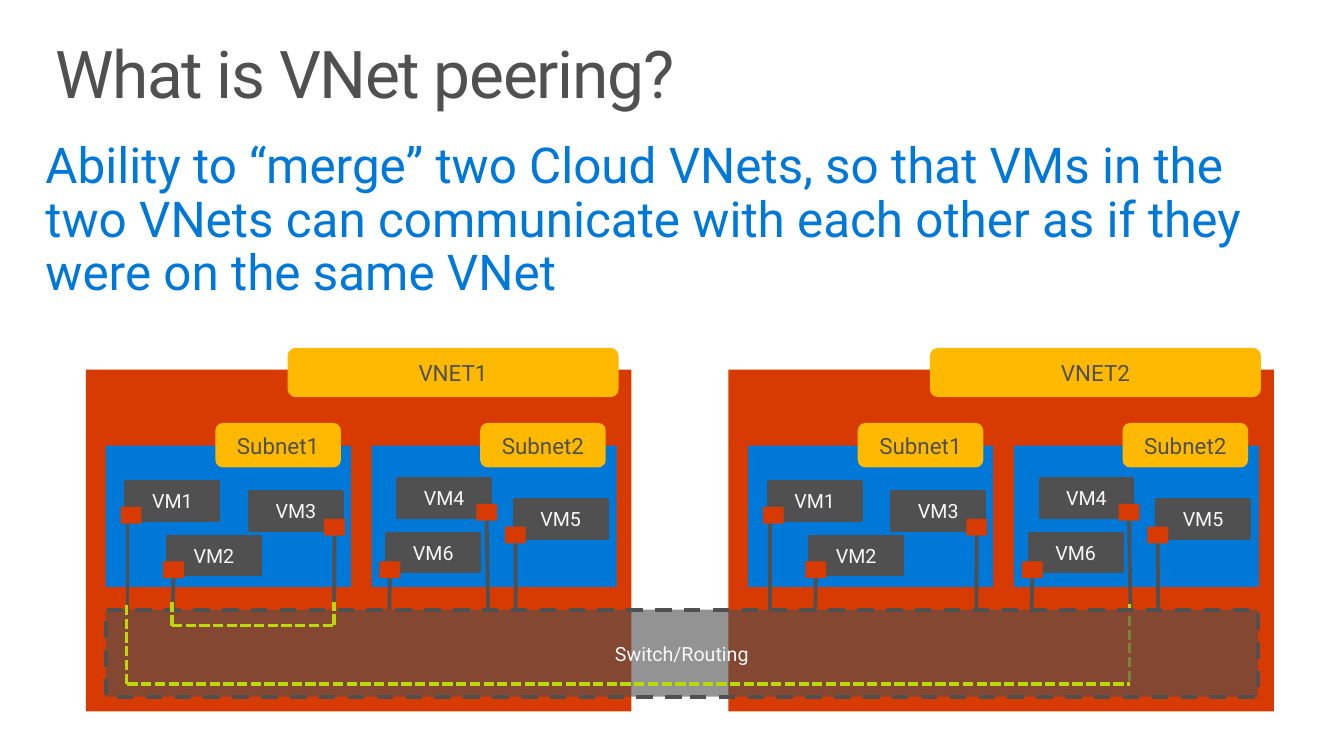
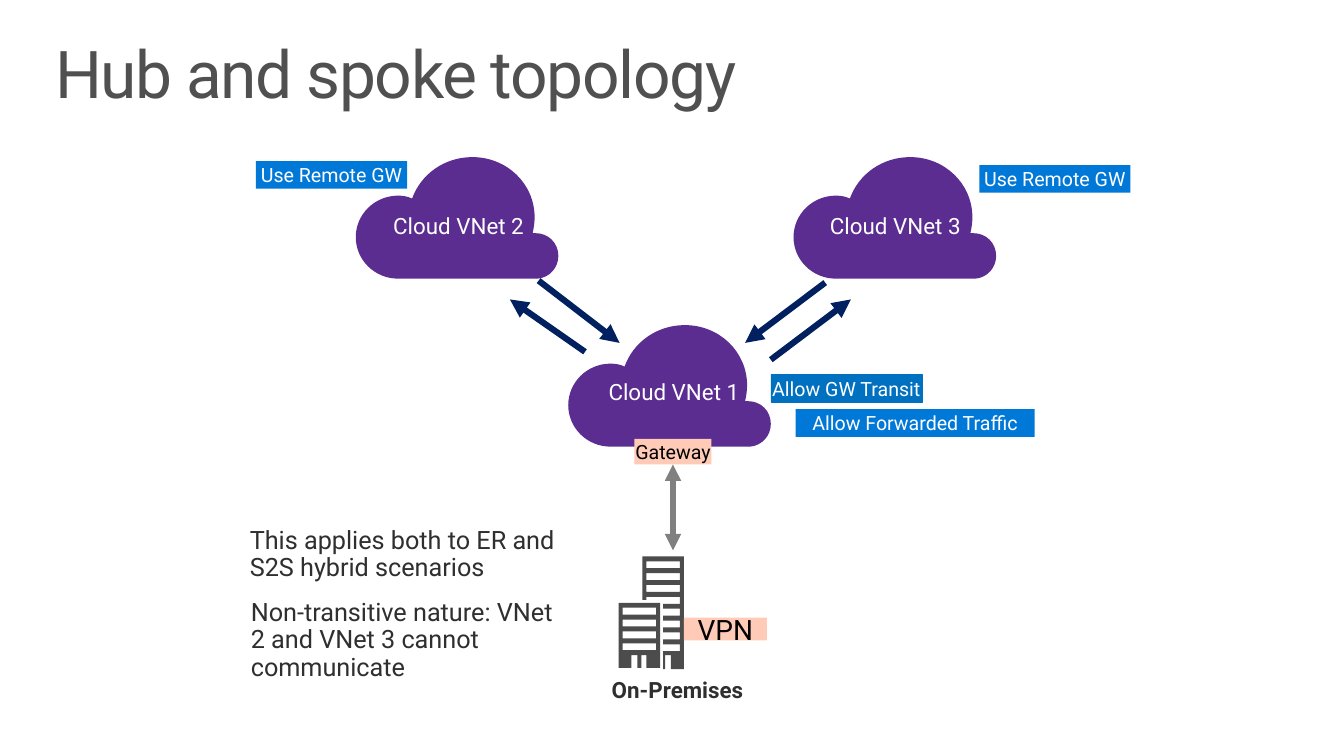
from lxml import etree
from pptx import Presentation
from pptx.dml.color import RGBColor
from pptx.enum.dml import MSO_LINE
from pptx.enum.shapes import MSO_CONNECTOR, MSO_SHAPE
from pptx.enum.text import MSO_ANCHOR, PP_ALIGN
from pptx.oxml.ns import qn
from pptx.util import Pt

PX = 9144  # 100 px to the inch
FONT = "Roboto"
RECT, ROUNDED = MSO_SHAPE.RECTANGLE, MSO_SHAPE.ROUNDED_RECTANGLE
STRAIGHT = MSO_CONNECTOR.STRAIGHT
DASH, SHORT_DASH = MSO_LINE.DASH, MSO_LINE.SQUARE_DOT
TOP, MIDDLE = MSO_ANCHOR.TOP, MSO_ANCHOR.MIDDLE
LEFT, CENTER = PP_ALIGN.LEFT, PP_ALIGN.CENTER
BOTTOM_SIDE = 2

COLORS = {
    "gray": "505050", "dark": "2F2F2F", "building": "4C4C4C", "arrow_gray": "808080",
    "blue": "0078D7", "transit_blue": "0070C0", "navy": "002060", "red": "D83B01",
    "yellow": "FFB900", "green": "BAD80A", "purple": "5C2D91", "peach": "FFCAB6",
    "white": "FFFFFF", "off_white": "F8F8F8", "black": "000000",
}

# Text styles: font size, colour, insets (x, y), and whether it is a centred label
STYLES = {
    "title": {"size": 48, "color": "gray", "inset": (16, 10)},
    "body": {"size": 36, "color": "blue", "inset": (16, 10)},
    "note": {"size": 18.4, "color": "dark", "inset": (10, 5)},
    "site": {"size": 16.3, "color": "dark", "inset": (20, 16), "bold": True},
    "cloud": {"size": 16.3, "color": "white", "inset": (20, 16), "align": CENTER},
    "net": {"size": 16.3, "color": "gray", "label": True},
    "machine": {"size": 14.3, "color": "off_white", "label": True},
    "tag": {"size": 14.3, "color": "white", "label": True},
    "gateway": {"size": 14.3, "color": "black", "label": True},
    "vpn": {"size": 20.4, "color": "black", "label": True},
}


def add_box(page, frame, text="", style="tag", fill=None, kind=RECT, outline=None):
    """Add a filled shape, or a plain text box when there is no fill."""
    frame = [value * PX for value in frame]
    if fill:
        box = page.shapes.add_shape(kind, *frame)
        box.shadow.inherit = False
        box.fill.solid()
        box.fill.fore_color.rgb = RGBColor.from_string(COLORS[fill])
        if outline:
            box.line.color.rgb = RGBColor.from_string(COLORS[fill])
            box.line.width = Pt(outline)
        else:
            box.line.fill.background()
    else:
        box = page.shapes.add_textbox(*frame)
    if not text:
        return box

    look = STYLES[style]
    label = look.get("label", False)
    inset_x, inset_y = look.get("inset", (0, 5))
    frame_format = {
        "word_wrap": not label, "vertical_anchor": MIDDLE if label else TOP,
        "margin_left": inset_x * PX, "margin_right": inset_x * PX,
        "margin_top": inset_y * PX, "margin_bottom": inset_y * PX,
    }
    for name, value in frame_format.items():
        setattr(box.text_frame, name, value)
    para = box.text_frame.paragraphs[0]
    para.alignment = CENTER if label else look.get("align", LEFT)
    para.line_spacing = 1.0 if label else 0.9
    span = para.add_run()
    span.text = text
    font_format = {"name": FONT, "size": Pt(look["size"]), "bold": look.get("bold", False)}
    for name, value in font_format.items():
        setattr(span.font, name, value)
    span.font.color.rgb = RGBColor.from_string(COLORS[look["color"]])
    if style == "title":
        span.font._element.set("spc", "-100")
    return box


def add_line(page, points, color, width, dash=None, arrows=(), start=None):
    """Add a straight line; start is a box whose bottom middle it leaves from."""
    line = page.shapes.add_connector(STRAIGHT, *[value * PX for value in points])
    if start is not None:
        line.begin_connect(start, BOTTOM_SIDE)
    line.line.color.rgb = RGBColor.from_string(COLORS[color])
    line.line.width = Pt(width)
    if dash:
        line.line.dash_style = dash
    for end in arrows:
        etree.SubElement(line.line._get_or_add_ln(), qn(f"a:{end}"), type="triangle")
    etree.SubElement(line._element.spPr, qn("a:effectLst"))
    return line


deck = Presentation()
deck.slide_width, deck.slide_height = 1360 * PX, 765 * PX
pages = []
for title in ("What is VNet peering?", "Hub and spoke topology"):
    page = deck.slides.add_slide(deck.slide_layouts[6])
    add_box(page, (40, 32, 1280, 100), title, "title")
    pages.append(page)
peering_page, hub_page = pages

# ---- Slide 1: VNet peering ----
add_box(peering_page, (30, 133, 1300, 187),
        "Ability to “merge” two Cloud VNets, so that VMs in the two VNets can "
        "communicate with each other as if they were on the same VNet", "body")

# Each subnet: name, left, then label left
SUBNETS = [("Subnet1", 107, 218), ("Subnet2", 376, 486)]
# Each machine: name, box corner, network card corner, foot of its wire
MACHINES = [
    ("VM1", (128, 488), (122, 513), 129), ("VM2", (170, 543), (165, 568), 175),
    ("VM3", (253, 498), (328, 525), 338), ("VM4", (403, 485), (482, 510), 494),
    ("VM6", (392, 540), (384, 568), 394), ("VM5", (521, 506), (511, 533), 522),
]
CARD_WIDTH, CARD_HEIGHT = 21, 17
SWITCH_TOP = 617
VNET_STEP = 650

for number in range(2):
    shift = number * VNET_STEP
    add_box(peering_page, (87 + shift, 374, 552, 346), fill="red")
    add_box(peering_page, (291 + shift, 352, 335, 50), f"VNET{number + 1}", "net",
            "yellow", ROUNDED)
    for name, left, label_left in SUBNETS:
        add_box(peering_page, (left + shift, 451, 248, 143), fill="blue")
        add_box(peering_page, (label_left + shift, 428, 127, 45), name, "net",
                "yellow", ROUNDED)
    for name, (left, top), (card_left, card_top), foot in MACHINES:
        add_box(peering_page, (left + shift, top, 93, 38), name, "machine", "gray", outline=3)
        card = add_box(peering_page, (card_left + shift, card_top, CARD_WIDTH, CARD_HEIGHT),
                       fill="red")
        # Wires under the middle of a card are joined to it
        centered = abs(card_left + CARD_WIDTH / 2 - foot) < 2
        add_line(peering_page, (foot + shift, card_top + CARD_HEIGHT, foot + shift, SWITCH_TOP),
                 "gray", 2.75, start=card if centered else None)

# The far end of the path between VNets runs behind the switch
add_line(peering_page, (1143, 689, 1143, 611), "green", 2.5, SHORT_DASH)
switch = add_box(peering_page, (107, SWITCH_TOP, 1166, 88), "Switch/Routing", "machine",
                 "gray", outline=3)
switch.line.dash_style = DASH
switch_color = switch._element.spPr.find(qn("a:solidFill")).find(qn("a:srgbClr"))
etree.SubElement(switch_color, qn("a:alpha"), val="61000")

# Traffic paths on top of the switch
for points in [(174, 633, 338, 633), (174, 633, 174, 609), (338, 632, 338, 609),
               (129, 692, 1143, 692), (128, 692, 128, 609)]:
    add_line(peering_page, points, "green", 2.5, SHORT_DASH)

# ---- Slide 2: hub and spoke ----
# Cloud outline from its right edge: a start, then two controls and an end per curve
CLOUD_POINTS = [
    (205, 100),
    (205, 87), (195, 77), (182, 77), (181, 77), (180, 77), (179, 77),
    (180, 72), (181, 67), (181, 61), (181, 27), (153, 0), (118, 0),
    (90, 0), (66, 17), (57, 42), (53, 40), (48, 39), (43, 39),
    (19, 39), (0, 58), (0, 81), (0, 104), (19, 123), (43, 123),
    (90, 123), (137, 123), (184, 123), (196, 122), (205, 112), (205, 100),
]
# Each cloud: name, corner, then label corner
CLOUDS = [("Cloud VNet 3", (803, 159), (785, 205)), ("Cloud VNet 2", (360, 159), (343, 205)),
          ("Cloud VNet 1", (575, 329), (561, 373))]
outlines = [("purple", [[(x + left, y + top) for x, y in CLOUD_POINTS]])
            for name, (left, top), label in CLOUDS]

# Buildings: outer walls, then rows of windows
front = [(626, 610), (626, 676), (639, 676), (639, 663), (645, 663), (645, 676),
         (649, 676), (649, 663), (654, 663), (654, 676), (668, 676), (668, 610)]
back = [(650, 563), (650, 607), (654, 607), (654, 604), (688, 604)]
for y in range(611, 648, 12):
    back += [(688, y), (671, y), (671, y + 5), (688, y + 5)]
back += [(688, 659), (671, 659), (671, 677), (673, 677), (673, 663), (679, 663),
         (679, 677), (692, 677), (692, 563)]
for walls, left, top, rows in [(front, 630, 615, 4), (back, 654, 568, 3)]:
    windows = [[(left, y), (left + 34, y), (left + 34, y + 7), (left, y + 7)]
               for y in range(top, top + 12 * rows, 12)]
    outlines.append(("building", [walls] + windows))

for color, contours in outlines:
    builder = None
    for contour in contours:
        if builder is None:
            builder = hub_page.shapes.build_freeform(*contour[0], scale=PX)
        else:
            builder.move_to(*contour[0])
        builder.add_line_segments(contour[1:], close=color == "building")
    drawing = builder.convert_to_shape()
    drawing.shadow.inherit = False
    drawing.fill.solid()
    drawing.fill.fore_color.rgb = RGBColor.from_string(COLORS[color])
    drawing.line.fill.background()
    if color == "purple":
        # Every three points of a cloud become one cubic curve
        segments = list(drawing._element.iter(qn("a:lnTo")))
        outline = segments[0].getparent()
        for index in range(0, len(segments), 3):
            curve = etree.SubElement(outline, qn("a:cubicBezTo"))
            for segment in segments[index:index + 3]:
                curve.append(segment[0])
                outline.remove(segment)
        etree.SubElement(outline, qn("a:close"))

for name, corner, (left, top) in CLOUDS:
    add_box(hub_page, (left, top, 242, 57), name, "cloud")

# Peering settings
for text, frame, fill, outline_width in [
        ("Use Remote GW", (259, 163, 153, 28), "blue", None),
        ("Use Remote GW", (991, 167, 153, 28), "blue", None),
        ("Allow GW Transit", (780, 379, 153, 28), "transit_blue", 0.25),
        ("Allow Forwarded Traffic", (805, 414, 242, 28), "blue", None)]:
    add_box(hub_page, frame, text, "tag", fill, outline=outline_width)

# Peering arrows
for points in [(835, 286, 754, 347), (545, 284, 627, 347),
               (780, 364, 861, 303), (592, 356, 516, 303)]:
    add_line(hub_page, points, "navy", 4.5, arrows=("tailEnd",))

# Gateway and the site behind it
gateway = add_box(hub_page, (642, 444, 78, 26), "Gateway", "gateway", "peach")
add_line(hub_page, (681, 470, 681, 557), "arrow_gray", 4, arrows=("headEnd", "tailEnd"),
         start=gateway)
add_box(hub_page, (692, 625, 84, 23), "VPN", "vpn", "peach")
add_box(hub_page, (599, 675, 183, 58), "On-Premises", "site")

# Notes
add_box(hub_page, (243, 529, 344, 67), "This applies both to ER and S2S hybrid scenarios", "note")
add_box(hub_page, (244, 602, 344, 95),
        "Non-transitive nature: VNet 2 and VNet 3 cannot communicate", "note")

deck.save("out.pptx")
